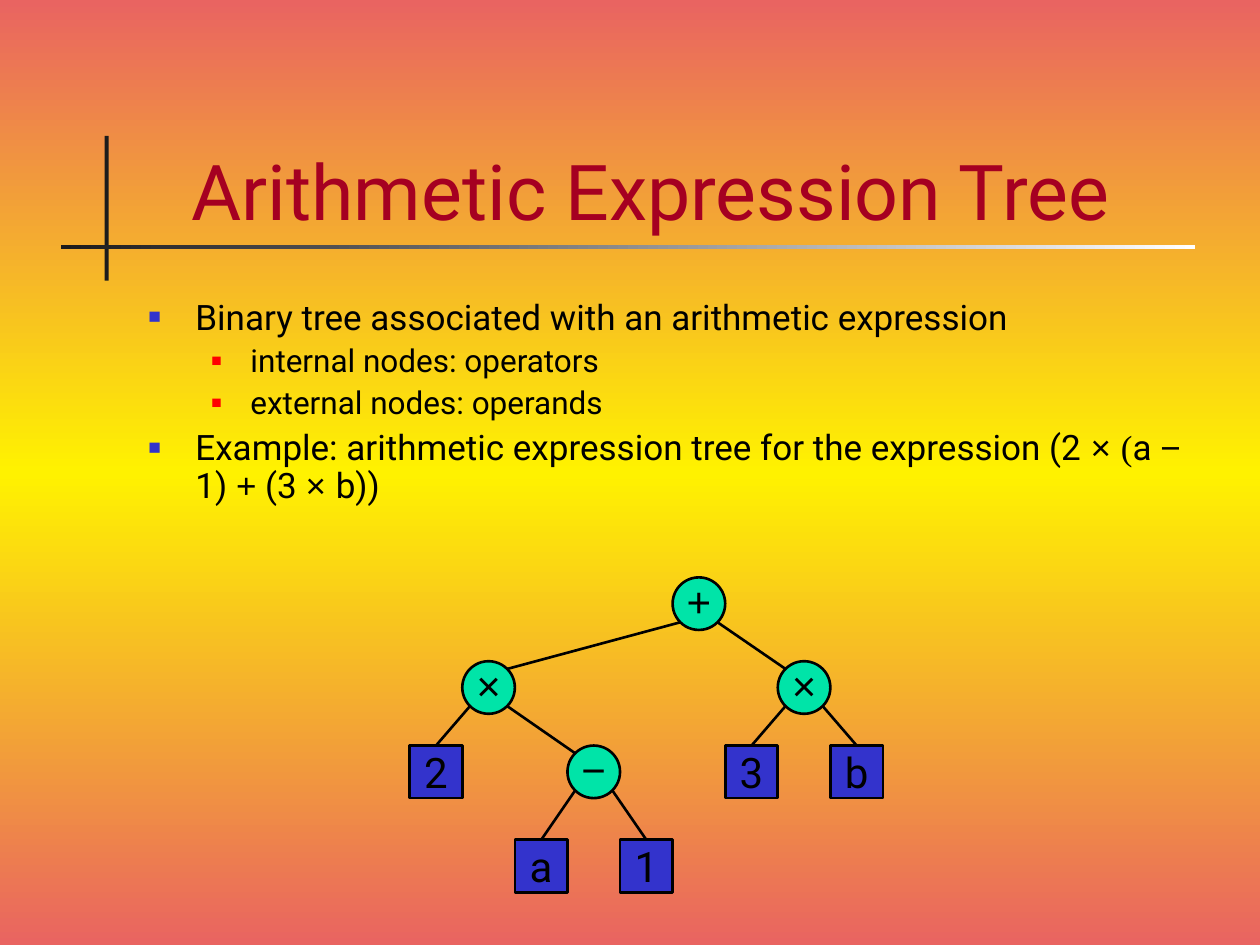
"""Build the slide on arithmetic expression trees."""
import math

import lxml.etree
import pptx
import pptx.dml.color
import pptx.enum.shapes
import pptx.enum.text
import pptx.oxml.ns
import pptx.util

Cm, Pt = pptx.util.Cm, pptx.util.Pt
SHAPES = pptx.enum.shapes.MSO_SHAPE
ANCHOR = pptx.enum.text.MSO_ANCHOR
ALIGN = pptx.enum.text.PP_ALIGN

HEADING = "Arithmetic Expression Tree"
POINTS = [
    (0, [("Binary tree associated with an arithmetic expression", "main")]),
    (1, [("internal nodes: operators", "main")]),
    (1, [("external nodes: operands", "main")]),
    (0, [
        ("Example: arithmetic expression tree for the expression (2 ", "main"),
        ("× ", "math"), ("(", "serif"), ("a ", "main"), ("−", "math"),
        (" 1) ", "main"), ("+", "math"), (" (3 ", "main"), ("× ", "math"),
        ("b))", "main"),
    ]),
]
EXPRESSION = ("+", ("×", "2", ("−", "a", "1")), ("×", "3", "b"))

THEME = {
    "fonts": {"main": "Roboto", "math": "Arial", "serif": "Times New Roman"},
    "heading": {"size": 44, "color": "A50021"},
    "levels": [
        {"size": 20, "before": 5, "bullet": "3333CC", "scale": 60, "margin": 0.95, "hang": 0.95},
        {"size": 18, "before": 4.5, "bullet": "FF0000", "scale": 55, "margin": 2.06, "hang": 0.79},
    ],
    "node": 24,
    "ink": "000000",
    "operator": "00E4A8",
    "operand": "3333CC",
    "bar": "1C1C1C",
    "rule": [(0, "1C1C1C"), (100, "FFFFFF")],
    "backdrop": [(0, "E96461"), (50, "FFF200"), (100, "E96461")],
}

NODE = 1.06
TREE_LEFT = 8.26
ROW_TOPS = (11.64, 13.33, 15.03, 16.93)


def rgb(code):
    return pptx.dml.color.RGBColor.from_string(code)


def add_element(parent, tag, **attributes):
    return lxml.etree.SubElement(parent, pptx.oxml.ns.qn(tag), attributes)


def write(paragraph, text, *, size, font="main", color=THEME["ink"]):
    run = paragraph.add_run()
    run.text = text
    run.font.name = THEME["fonts"][font]
    run.font.size = Pt(size)
    run.font.color.rgb = rgb(color)


def paint_gradient(fill, element, stops, angle):
    fill.gradient()
    fill.gradient_angle = angle
    stop_list = element.xpath(".//a:gsLst")[0]
    for stop in list(stop_list):
        stop_list.remove(stop)
    for position, color in stops:
        stop = add_element(stop_list, "a:gs", pos=str(position * 1000))
        add_element(stop, "a:srgbClr", val=color)


def add_block(shapes, kind, left, top, width, height):
    block = shapes.add_shape(kind, Cm(left), Cm(top), Cm(width), Cm(height))
    block.shadow.inherit = False
    block.line.fill.background()
    return block


def add_frame(slide, left, top, width, height):
    frame = slide.shapes.add_textbox(Cm(left), Cm(top), Cm(width), Cm(height)).text_frame
    frame.word_wrap = True
    return frame


def add_heading(slide):
    bar = add_block(slide.shapes, SHAPES.RECTANGLE, 2.11, 2.74, 0.08, 2.92)
    bar.fill.solid()
    bar.fill.fore_color.rgb = rgb(THEME["bar"])
    rule = add_block(slide.shapes, SHAPES.RECTANGLE, 1.23, 4.94, 22.86, 0.09)
    paint_gradient(rule.fill, rule.element, THEME["rule"], 0)
    frame = add_frame(slide, 3.61, 1.7, 21.23, 3.18)
    frame.vertical_anchor = ANCHOR.BOTTOM
    write(frame.paragraphs[0], HEADING, **THEME["heading"])


def add_points(slide):
    frame = add_frame(slide, 2.74, 5.92, 21.59, 5.28)
    for index, (level, pieces) in enumerate(POINTS):
        style = THEME["levels"][level]
        point = frame.add_paragraph() if index else frame.paragraphs[0]
        point.level = level
        properties = point._p.get_or_add_pPr()
        properties.set("marL", str(Cm(style["margin"])))
        properties.set("indent", str(-Cm(style["hang"])))
        bullet_color = add_element(properties, "a:buClr")
        add_element(bullet_color, "a:srgbClr", val=style["bullet"])
        add_element(properties, "a:buSzPct", val=str(style["scale"] * 1000))
        add_element(properties, "a:buFont", typeface=THEME["fonts"]["math"])
        add_element(properties, "a:buChar", char="■")
        point.line_spacing = 0.9
        if index:
            point.space_before = Pt(style["before"])
        for text, font in pieces:
            write(point, text, font=font, size=style["size"])


def place_nodes(tree, depth=0, column=0):
    """Return the root, all nodes, all edges and the next free in-order column."""
    if isinstance(tree, str):
        leaf = {"label": tree, "column": column, "depth": depth, "operator": False}
        return leaf, [leaf], [], column + 1
    label, left, right = tree
    left_root, left_nodes, left_edges, middle = place_nodes(left, depth + 1, column)
    right_root, right_nodes, right_edges, end = place_nodes(right, depth + 1, middle + 1)
    root = {"label": label, "column": middle, "depth": depth, "operator": True}
    edges = [(root, left_root), (root, right_root)] + left_edges + right_edges
    return root, [root] + left_nodes + right_nodes, edges, end


def add_node(shapes, node):
    operator = node["operator"]
    kind = SHAPES.OVAL if operator else SHAPES.RECTANGLE
    left = TREE_LEFT + node["column"] * NODE
    block = add_block(shapes, kind, left, ROW_TOPS[node["depth"]], NODE, NODE)
    block.fill.solid()
    block.fill.fore_color.rgb = rgb(THEME["operator" if operator else "operand"])
    block.line.color.rgb = rgb(THEME["ink"])
    block.line.width = Pt(1.5)
    frame = block.text_frame
    frame.word_wrap = False
    frame.vertical_anchor = ANCHOR.MIDDLE
    if operator:
        frame.margin_left = frame.margin_right = frame.margin_top = 0
    label = frame.paragraphs[0]
    label.alignment = ALIGN.CENTER
    write(label, node["label"], font="math" if operator else "main", size=THEME["node"])


def add_edge(shapes, parent, child):
    side = 1 if child["column"] > parent["column"] else -1
    reach = NODE / 2 * math.sqrt(0.5)

    def rim(node, across, down):
        x = TREE_LEFT + (node["column"] + 0.5) * NODE + across
        y = ROW_TOPS[node["depth"]] + NODE / 2 + down
        return Cm(x), Cm(y)

    start = rim(parent, side * reach, reach)
    end = rim(child, -side * reach, -reach) if child["operator"] else rim(child, 0, -NODE / 2)
    edge = shapes.add_connector(pptx.enum.shapes.MSO_CONNECTOR.STRAIGHT, *start, *end)
    edge.line.color.rgb = rgb(THEME["ink"])
    edge.line.width = Pt(1.5)
    add_element(edge.element.spPr, "a:effectLst")


def main():
    deck = pptx.Presentation()
    deck.slide_width, deck.slide_height = Cm(25.4), Cm(19.05)
    slide = deck.slides.add_slide(deck.slide_layouts[6])
    paint_gradient(slide.background.fill, slide.element, THEME["backdrop"], 270)
    add_heading(slide)
    add_points(slide)
    tree_shapes = slide.shapes.add_group_shape().shapes
    _, nodes, edges, _ = place_nodes(EXPRESSION)
    for node in nodes:
        add_node(tree_shapes, node)
    for parent, child in edges:
        add_edge(tree_shapes, parent, child)
    deck.save("out.pptx")


if __name__ == "__main__":
    main()
